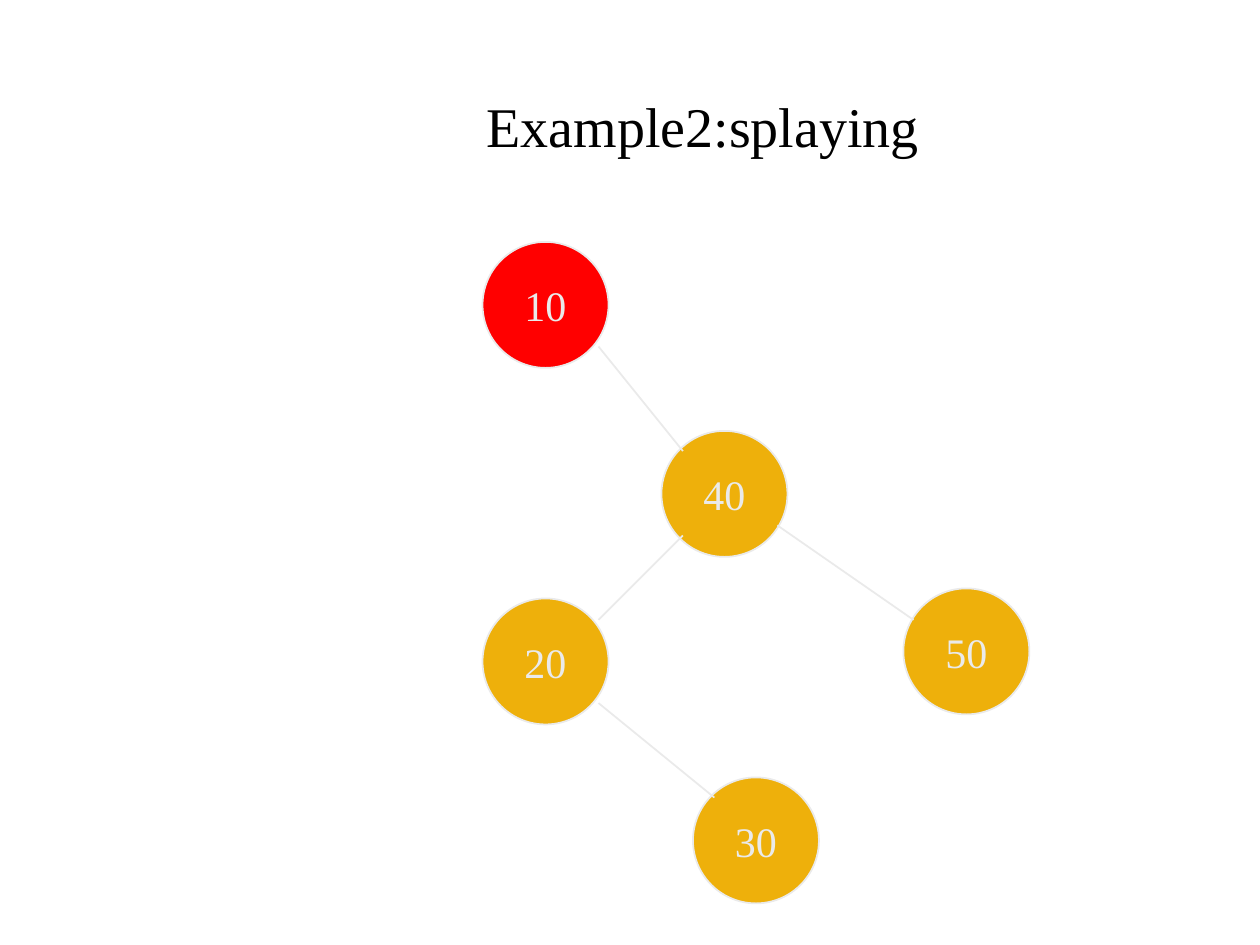
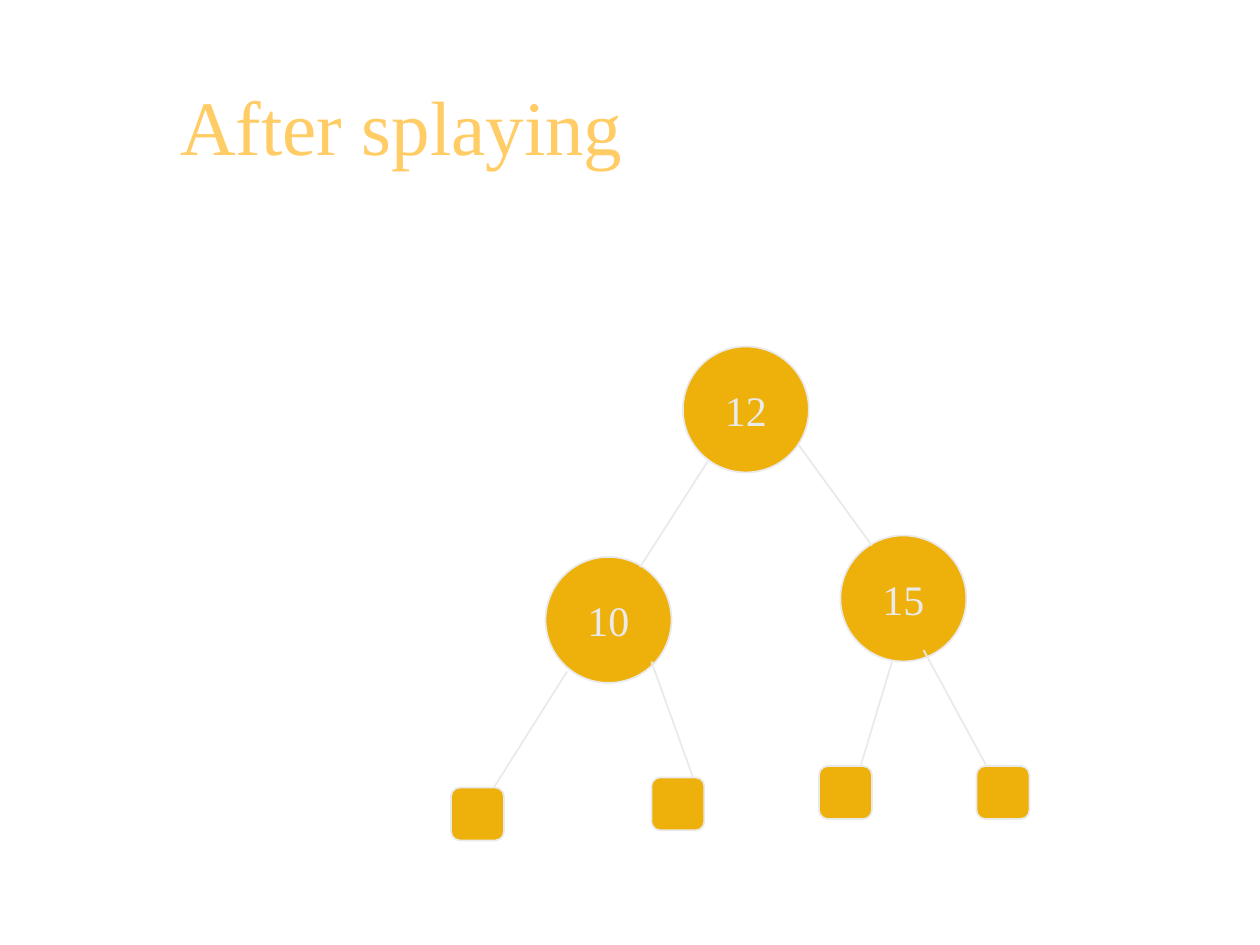
from dataclasses import dataclass

from lxml.etree import SubElement
from pptx import Presentation
from pptx.dml.color import RGBColor
from pptx.enum.shapes import MSO_CONNECTOR, MSO_SHAPE
from pptx.enum.text import MSO_ANCHOR, PP_ALIGN
from pptx.oxml.ns import qn
from pptx.util import Inches, Pt

# Shared style
FONT = "Times New Roman"
COLORS = {
    "node": "EEB00B",
    "splayed": "FF0000",
    "line": "EAEAEA",
    "black": "000000",
    "gold": "FFCC66",
}
NODE_SIZE = 1
LEAF_SIZE = 0.42
TITLE_ONLY = 5


@dataclass(frozen=True)
class Node:
    key: str
    left: float
    top: float
    color: str = "node"


@dataclass(frozen=True)
class Leaf:
    left: float
    top: float


@dataclass(frozen=True)
class Edge:
    x1: float
    y1: float
    x2: float
    y2: float


@dataclass(frozen=True)
class TreeSlide:
    title: str
    title_size: int
    title_color: str
    title_align: PP_ALIGN
    items: tuple  # from back to front


def rgb(name: str) -> RGBColor:
    return RGBColor.from_string(COLORS[name])


def format_text(tf, size: int, color: str, align: PP_ALIGN) -> None:
    tf.vertical_anchor = MSO_ANCHOR.MIDDLE
    p = tf.paragraphs[0]
    p.alignment = align
    font = p.runs[0].font
    font.name = FONT
    font.size = Pt(size)
    font.color.rgb = rgb(color)


def format_line(line) -> None:
    line.color.rgb = rgb("line")
    line.width = Pt(1)


def add_box(slide, kind: MSO_SHAPE, left: float, top: float, size: float, color: str):
    sp = slide.shapes.add_shape(
        kind, Inches(left), Inches(top), Inches(size), Inches(size))
    sp.shadow.inherit = False
    sp.fill.solid()
    sp.fill.fore_color.rgb = rgb(color)
    format_line(sp.line)
    return sp


def add_node(slide, node: Node) -> None:
    sp = add_box(slide, MSO_SHAPE.OVAL, node.left, node.top, NODE_SIZE, node.color)
    tf = sp.text_frame
    tf.text = node.key
    tf.word_wrap = False
    format_text(tf, 24, "line", PP_ALIGN.CENTER)


def add_leaf(slide, leaf: Leaf) -> None:
    add_box(slide, MSO_SHAPE.ROUNDED_RECTANGLE, leaf.left, leaf.top, LEAF_SIZE, "node")


def add_edge(slide, edge: Edge) -> None:
    line = slide.shapes.add_connector(
        MSO_CONNECTOR.STRAIGHT,
        Inches(edge.x1), Inches(edge.y1), Inches(edge.x2), Inches(edge.y2))
    format_line(line.line)
    SubElement(line._element.spPr, qn("a:effectLst"))


DRAW = {Node: add_node, Leaf: add_leaf, Edge: add_edge}


def add_tree_slide(prs, tree: TreeSlide) -> None:
    slide = prs.slides.add_slide(prs.slide_layouts[TITLE_ONLY])
    title = slide.shapes.title
    title.left, title.top = Inches(1.33), Inches(0.33)
    title.width, title.height = Inches(8.5), Inches(1.32)
    title.text_frame.text = tree.title
    format_text(title.text_frame, tree.title_size, tree.title_color, tree.title_align)
    for item in tree.items:
        DRAW[type(item)](slide, item)


# Slide content
SLIDES = (
    TreeSlide("Example2:splaying", 32, "black", PP_ALIGN.CENTER, (
        Node("10", 3.83, 1.92, "splayed"),
        Node("50", 7.17, 4.67),
        Node("20", 3.83, 4.75),
        Node("30", 5.5, 6.17),
        Node("40", 5.25, 3.42),
        Edge(4.75, 2.75, 5.42, 3.58),
        Edge(6.17, 4.17, 7.25, 4.92),
        Edge(5.42, 4.25, 4.75, 4.92),
        Edge(4.75, 5.58, 5.67, 6.33),
    )),
    # The root comes last, so that it covers the ends of its edges
    TreeSlide("After splaying", 44, "gold", PP_ALIGN.LEFT, (
        Node("10", 4.33, 4.42),
        Node("15", 6.67, 4.25),
        Leaf(3.58, 6.25),
        Leaf(5.17, 6.17),
        Leaf(6.5, 6.08),
        Leaf(7.75, 6.08),
        Edge(5.67, 3.58, 5.08, 4.5),
        Edge(6.25, 3.41, 6.92, 4.33),
        Edge(4.5, 5.33, 3.92, 6.25),
        Edge(5.17, 5.25, 5.5, 6.17),
        Edge(7.08, 5.25, 6.83, 6.08),
        Edge(7.33, 5.16, 7.83, 6.08),
        Node("12", 5.42, 2.75),
    )),
)


def main() -> None:
    prs = Presentation()
    prs.slide_width, prs.slide_height = Inches(10), Inches(7.5)
    for tree in SLIDES:
        add_tree_slide(prs, tree)
    prs.save("out.pptx")


if __name__ == "__main__":
    main()
